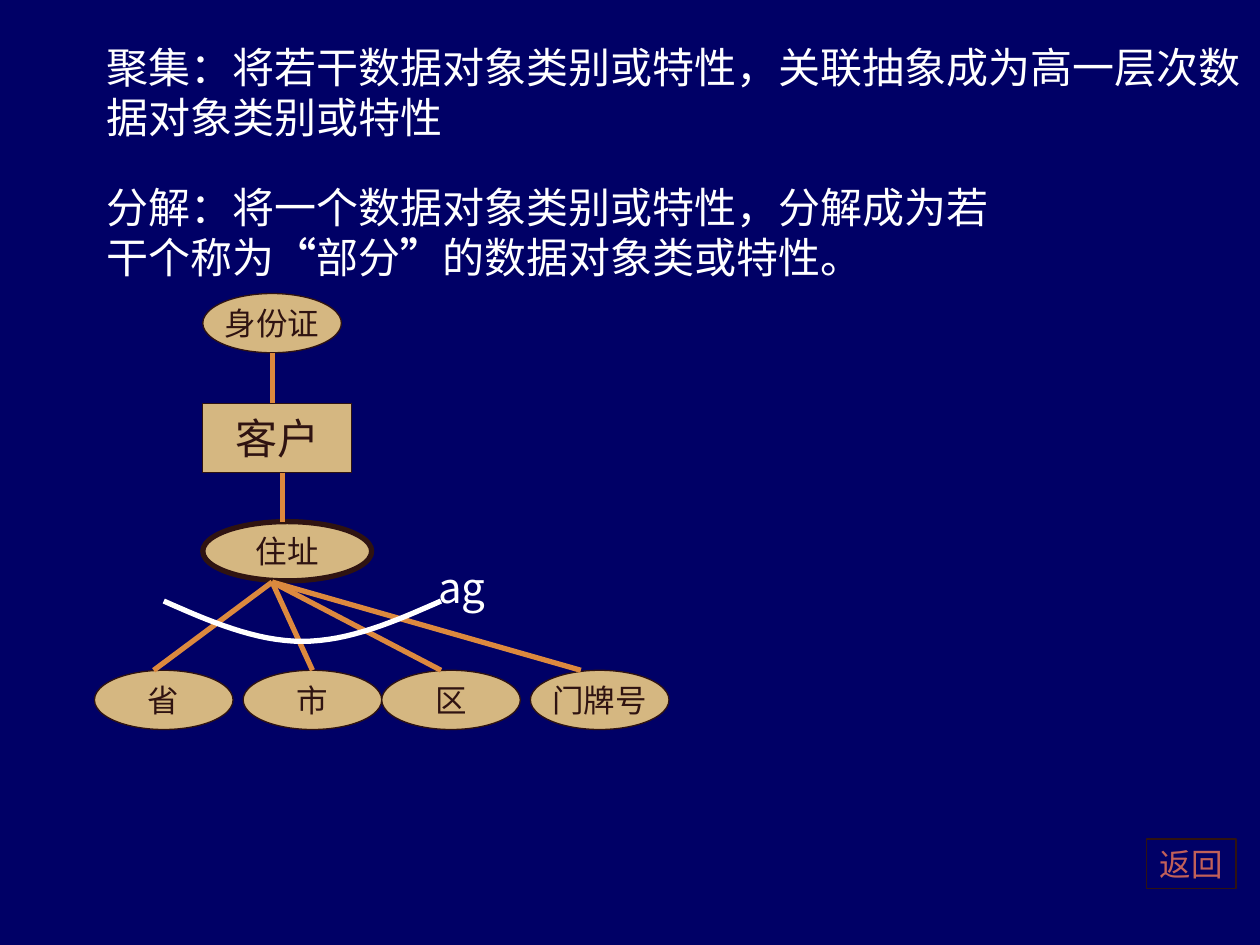
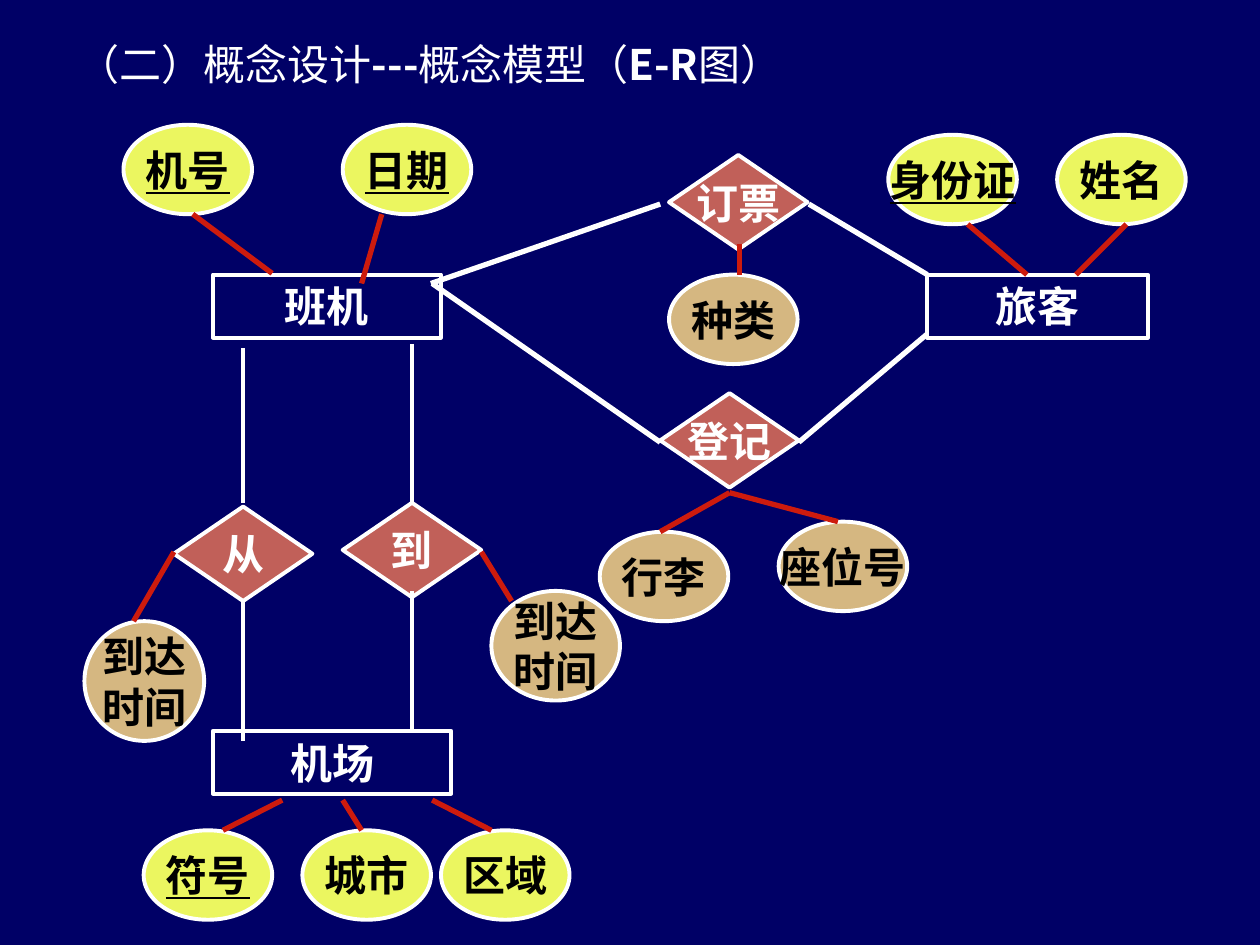
"""Builds two slides on decomposition and the E-R concept model of a flight booking system."""
from dataclasses import dataclass

import lxml.etree
import pptx
import pptx.dml.color
import pptx.enum.shapes
import pptx.enum.text
import pptx.oxml.ns
import pptx.util

Inches = pptx.util.Inches
Pt = pptx.util.Pt
Shape = pptx.enum.shapes.MSO_SHAPE
Align = pptx.enum.text.PP_ALIGN


@dataclass(frozen=True)
class Theme:
    navy: str = "000066"
    white: str = "FFFFFF"
    black: str = "000000"
    sand: str = "D5B781"
    brown: str = "2F1311"
    orange: str = "DC893E"
    rose: str = "C16059"
    yellow: str = "EBF660"
    red: str = "CD1B0D"
    latin: str = "Arial"
    chinese: str = "Noto Sans CJK SC"
    large: int = 24
    small: int = 18
    hairline: float = 0.75
    outline: float = 2.25
    heavy: float = 3


theme = Theme()


def rgb(value):
    return pptx.dml.color.RGBColor.from_string(value)


def write(box, paragraphs, size, ink, font, align, wrap, underline=False):
    frame = box.text_frame
    frame.word_wrap = wrap
    for index, spans in enumerate(paragraphs):
        para = frame.add_paragraph() if index else frame.paragraphs[0]
        para.alignment = align
        for text, bold in spans:
            span = para.add_run()
            span.text = text
            span.font.size = Pt(size)
            span.font.bold = bold
            span.font.underline = underline
            span.font.color.rgb = rgb(ink)
            span.font.name = font
            east_asian = lxml.etree.SubElement(span.font._element, pptx.oxml.ns.qn("a:ea"))
            east_asian.set("typeface", theme.chinese)


deck = pptx.Presentation()
deck.slide_width = Inches(10)
deck.slide_height = Inches(7.5)
pages = [deck.slides.add_slide(deck.slide_layouts[6]) for _ in range(2)]
for page in pages:
    page.background.fill.solid()
    page.background.fill.fore_color.rgb = rgb(theme.navy)
address_page, model_page = pages

passages = [
    (address_page, (0.75, 0.28, 9.25, 0.9), theme.latin, True,
     [[("聚集：将若干数据对象类别或特性，关联抽象成为高一层次数据对象类别或特性", False)]]),
    (address_page, (0.75, 1.39, 9.1, 0.9), theme.latin, True,
     [[("分解：将一个数据对象类别或特性，分解成为若", False)],
      [("干个称为", False), ("“", True), ("部分", False), ("”", True),
       ("的数据对象类或特性。", False)]]),
    (model_page, (0.52, 0.26, 6.18, 0.5), theme.chinese, False,
     [[("（二）概念设计", False), ("---", True), ("概念模型（", False),
       ("E-R", True), ("图）", False)]]),
]
for page, area, font, wrap, paragraphs in passages:
    box = page.shapes.add_textbox(*map(Inches, area))
    write(box, paragraphs, theme.large, theme.white, font, Align.LEFT, wrap)

styles = {
    "client": (Shape.RECTANGLE, theme.sand, theme.brown, theme.hairline,
               theme.brown, theme.large, False, theme.latin),
    "part": (Shape.OVAL, theme.sand, theme.brown, theme.hairline,
             theme.brown, theme.small, False, theme.latin),
    "whole": (Shape.OVAL, theme.sand, theme.brown, theme.heavy,
              theme.brown, theme.small, False, theme.latin),
    "mark": (Shape.OVAL, None, None, 0,
             theme.white, theme.large, False, theme.chinese),
    "button": (Shape.RECTANGLE, theme.navy, theme.brown, theme.hairline,
               theme.rose, theme.small, False, theme.latin),
    "entity": (Shape.RECTANGLE, None, theme.white, theme.outline,
               theme.white, theme.large, True, theme.chinese),
    "relation": (Shape.DIAMOND, theme.rose, theme.white, theme.outline,
                 theme.white, theme.large, True, theme.chinese),
    "attribute": (Shape.OVAL, theme.yellow, theme.white, theme.outline,
                  theme.black, theme.large, True, theme.chinese),
    "detail": (Shape.OVAL, theme.sand, theme.white, theme.outline,
               theme.black, theme.large, True, theme.chinese),
}
styles["key"] = styles["attribute"]
sizes = {"part": (1.1, 0.47), "relation": (1.1, 0.75),
         "attribute": (1.02, 0.71), "key": (1.02, 0.71), "detail": (1.02, 0.71)}

address_nodes = [
    ("client", "客户", 1.61, 3.2, 1.18, 0.55),
    ("part", "身份证", 1.61, 2.33),
    ("whole", "住址", 1.61, 4.14, 1.34, 0.47),
    ("part", "省", 0.75, 5.32),
    ("part", "市", 1.93, 5.32),
    ("part", "区", 3.03, 5.32),
    ("part", "门牌号", 4.21, 5.32),
    ("mark", "ag", 3.27, 4.46, 0.79, 0.39),
    ("button", "返回", 9.1, 6.66, 0.71, 0.39),
]
model_nodes = [
    ("relation", "登记", 5.24, 3.12),
    ("relation", "订票", 5.31, 1.23),
    ("entity", "班机", 1.69, 2.18, 1.81, 0.5),
    ("key", "机号", 0.98, 0.99),
    ("key", "日期", 2.72, 0.99),
    ("detail", "到达\n时间", 3.9, 4.69, 1.02, 0.87),
    ("relation", "从", 1.38, 4.02),
    ("relation", "到", 2.72, 3.99),
    ("detail", "到达\n时间", 0.67, 4.93, 0.95, 0.95),
    ("detail", "座位号", 6.18, 4.14),
    ("detail", "行李", 4.76, 4.22),
    ("detail", "种类", 5.31, 2.18),
    ("entity", "旅客", 7.36, 2.18, 1.75, 0.5),
    ("key", "身份证", 7.05, 1.07),
    ("attribute", "姓名", 8.39, 1.07),
    ("entity", "机场", 1.69, 5.8, 1.89, 0.5),
    ("key", "符号", 1.14, 6.59),
    ("attribute", "城市", 2.4, 6.59),
    ("attribute", "区域", 3.5, 6.59),
]
for page, nodes in zip(pages, (address_nodes, model_nodes)):
    for role, label, left, top, *size in nodes:
        outline, fill, edge, weight, ink, points, bold, font = styles[role]
        width, height = size or sizes[role]
        node = page.shapes.add_shape(outline, *map(Inches, (left, top, width, height)))
        node.shadow.inherit = False
        if fill:
            node.fill.solid()
            node.fill.fore_color.rgb = rgb(fill)
        else:
            node.fill.background()
        if edge:
            node.line.color.rgb = rgb(edge)
            node.line.width = Pt(weight)
        else:
            node.line.fill.background()
        node.text_frame.vertical_anchor = pptx.enum.text.MSO_ANCHOR.MIDDLE
        paragraphs = [[(text, bold)] for text in label.split("\n")]
        write(node, paragraphs, points, ink, font, Align.CENTER, False, role == "key")

address_links = [(2.16, 4.62, end, 5.32) for end in (1.22, 2.48, 3.5, 4.61)]
address_links += [(2.24, 3.75, 2.24, 4.14), (2.16, 3.2, 2.16, 2.8)]
booking_links = [
    (3.43, 2.25, 5.24, 3.51), (6.34, 3.51, 7.36, 2.65),
    (5.24, 1.62, 3.42, 2.25), (6.42, 1.62, 7.36, 2.18),
]
route_links = [
    (1.93, 3.99, 1.93, 2.76), (1.93, 4.77, 1.93, 5.88),
    (3.27, 4.69, 3.27, 5.8), (3.27, 2.73, 3.27, 3.99),
]
attribute_links = [
    (2.16, 2.17, 1.53, 1.7), (2.87, 2.25, 3.03, 1.7),
    (1.38, 4.38, 1.06, 4.93), (3.82, 4.38, 4.06, 4.77),
    (5.79, 3.91, 5.24, 4.22), (5.79, 3.91, 6.65, 4.14),
    (5.87, 1.94, 5.87, 2.18),
    (7.68, 1.78, 8.15, 2.18), (8.94, 1.78, 8.54, 2.18),
    (1.77, 6.59, 2.24, 6.35), (2.87, 6.59, 2.72, 6.35), (3.9, 6.59, 3.43, 6.35),
]
for page, links, colour, weight in [
    (address_page, address_links, theme.orange, theme.heavy),
    (model_page, booking_links, theme.white, theme.heavy),
    (model_page, route_links, theme.white, theme.outline),
    (model_page, attribute_links, theme.red, theme.heavy),
]:
    for ends in links:
        link = page.shapes.add_connector(
            pptx.enum.shapes.MSO_CONNECTOR.STRAIGHT, *map(Inches, ends))
        link.line.color.rgb = rgb(colour)
        link.line.width = Pt(weight)
        lxml.etree.SubElement(link._element.spPr, pptx.oxml.ns.qn("a:effectLst"))

curves = [
    [(1.3, 4.77), (1.66, 4.93), (2.03, 5.09), (2.4, 5.09)],
    [(2.4, 5.09), (2.77, 5.09), (3.14, 4.93), (3.5, 4.77)],
]
steps = 16
arc_points = []
for curve in curves:
    for step in range(1, steps + 1):
        t = step / steps
        weights = ((1 - t) ** 3, 3 * t * (1 - t) ** 2, 3 * t ** 2 * (1 - t), t ** 3)
        arc_points.append(tuple(
            Inches(sum(w * c for w, c in zip(weights, axis))) for axis in zip(*curve)))
builder = address_page.shapes.build_freeform(*map(Inches, curves[0][0]))
builder.add_line_segments(arc_points, close=False)
arc = builder.convert_to_shape()
arc.shadow.inherit = False
arc.fill.background()
arc.line.color.rgb = rgb(theme.white)
arc.line.width = Pt(theme.heavy)

deck.save("out.pptx")
